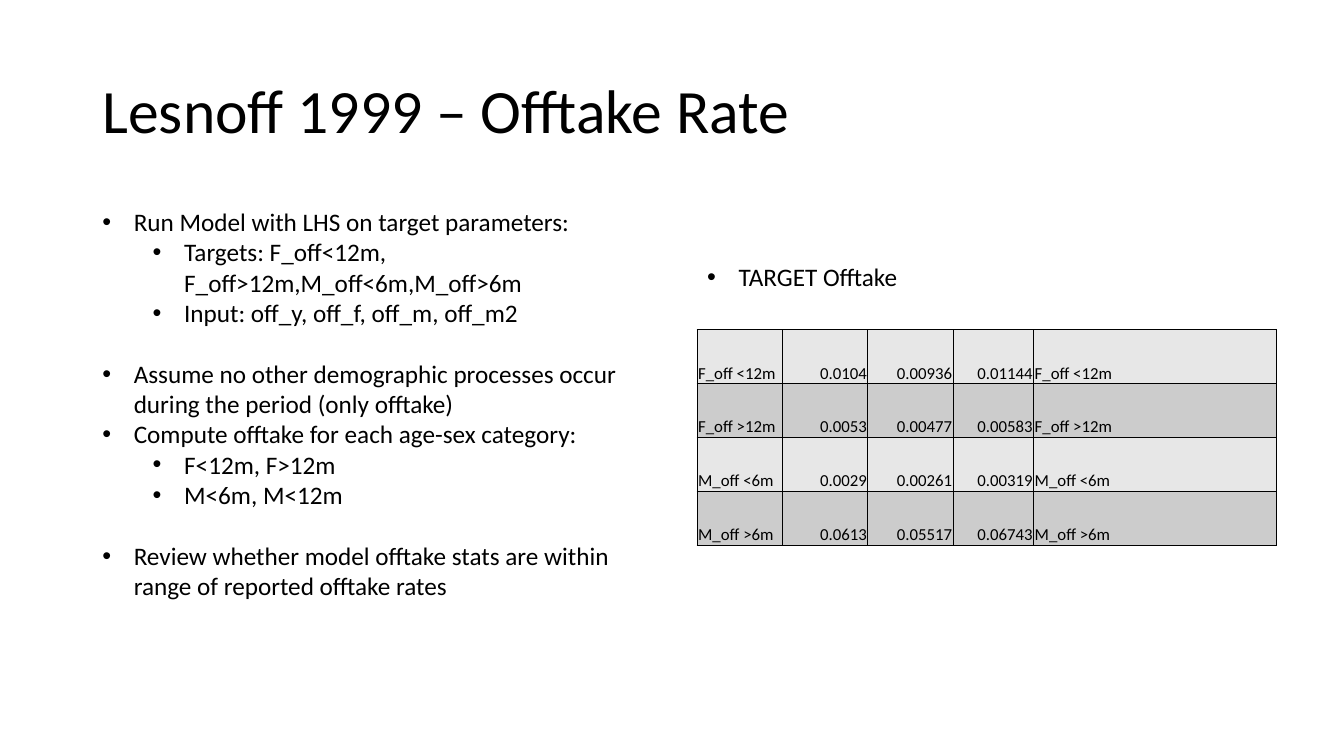
"""Build the offtake rate slide with its notes and target table."""
from dataclasses import dataclass

from lxml import etree
from pptx import Presentation
from pptx import util as u
from pptx.dml.color import RGBColor
from pptx.enum import text as t
from pptx.oxml.ns import qn

PX = 6350
FONT = "Calibri"
COLOURS = {"ink": "000000", "light": "E7E7E7", "dark": "CCCCCC"}
INDENTS = (45, 117)
HANGING = 45
GAP = 22
COLUMNS = (122, 122, 122, 115, 347)
ROW_HEIGHT = 77
BORDERS = ("a:lnL", "a:lnR", "a:lnT", "a:lnB")


@dataclass(frozen=True)
class Area:
    left: int
    top: int
    width: int
    height: int

    def emu(self) -> list[int]:
        return [side * PX for side in (self.left, self.top, self.width, self.height)]


@dataclass(frozen=True)
class Bullet:
    words: str
    level: int = 0
    gap: int = 0


@dataclass(frozen=True)
class Target:
    name: str
    mean: str
    low: str
    high: str

    def cells(self) -> tuple[str, ...]:
        return self.name, self.mean, self.low, self.high, self.name


TITLE = Area(132, 58, 1656, 209)
NOTES = Area(132, 288, 791, 582)
CAPTION = Area(996, 366, 791, 58)
TABLE = Area(996, 471, sum(COLUMNS), 4 * ROW_HEIGHT)

NOTE_BULLETS = [
    Bullet("Run Model with LHS on target parameters:"),
    Bullet("Targets: F_off<12m, F_off>12m,M_off<6m,M_off>6m", 1),
    Bullet("Input: off_y, off_f, off_m, off_m2", 1),
    Bullet("Assume no other demographic processes occur during the period (only offtake)", gap=GAP),
    Bullet("Compute offtake for each age-sex category:"),
    Bullet("F<12m, F>12m", 1),
    Bullet("M<6m, M<12m", 1),
    Bullet("Review whether model offtake stats are within range of reported offtake rates", gap=GAP),
]
TARGETS = [
    Target("F_off <12m", "0.0104", "0.00936", "0.01144"),
    Target("F_off >12m", "0.0053", "0.00477", "0.00583"),
    Target("M_off <6m", "0.0029", "0.00261", "0.00319"),
    Target("M_off >6m", "0.0613", "0.05517", "0.06743"),
]


def add_span(para, words: str, size: int) -> None:
    span = para.add_run()
    span.text = words
    span.font.name = FONT
    span.font.size = u.Pt(size)
    span.font.color.rgb = RGBColor.from_string(COLOURS["ink"])


def set_title(slide, words: str) -> None:
    title = slide.shapes.title
    title.left, title.top, title.width, title.height = TITLE.emu()
    frame = title.text_frame
    frame.auto_size = t.MSO_AUTO_SIZE.NONE
    frame.vertical_anchor = t.MSO_ANCHOR.MIDDLE
    para = frame.paragraphs[0]
    para.alignment = t.PP_ALIGN.LEFT
    para.line_spacing = 0.9
    add_span(para, words, 44)


def add_bullets(slide, area: Area, bullets: list[Bullet]) -> None:
    frame = slide.shapes.add_textbox(*area.emu()).text_frame
    frame.word_wrap = True
    frame.auto_size = t.MSO_AUTO_SIZE.SHAPE_TO_FIT_TEXT
    for index, bullet in enumerate(bullets):
        para = frame.add_paragraph() if index else frame.paragraphs[0]
        para.level = bullet.level
        para.space_before = u.Pt(bullet.gap)
        props = para._p.get_or_add_pPr()
        props.set("marL", str(INDENTS[bullet.level] * PX))
        props.set("indent", str(-HANGING * PX))
        etree.SubElement(props, qn("a:buFont"), typeface="Arial")
        etree.SubElement(props, qn("a:buChar"), char="•")
        add_span(para, bullet.words, 18)


def add_borders(cell) -> None:
    props = cell._tc.get_or_add_tcPr()
    for index, tag in enumerate(BORDERS):
        line = etree.Element(qn(tag), w=str(u.Pt(1)))
        fill = etree.SubElement(line, qn("a:solidFill"))
        etree.SubElement(fill, qn("a:srgbClr"), val=COLOURS["ink"])
        props.insert(index, line)


def fill_cell(cell, words: str, colour: str, numeric: bool) -> None:
    cell.fill.solid()
    cell.fill.fore_color.rgb = RGBColor.from_string(colour)
    cell.vertical_anchor = t.MSO_ANCHOR.BOTTOM
    cell.margin_left = cell.margin_right = cell.margin_top = u.Inches(0.01)
    cell.margin_bottom = 0
    para = cell.text_frame.paragraphs[0]
    para.alignment = t.PP_ALIGN.RIGHT if numeric else t.PP_ALIGN.LEFT
    add_span(para, words, 12)
    add_borders(cell)


def add_targets(slide, targets: list[Target]) -> None:
    table = slide.shapes.add_table(len(targets), len(COLUMNS), *TABLE.emu()).table
    table.first_row = False
    for column, width in zip(table.columns, COLUMNS):
        column.width = width * PX
    for index, target in enumerate(targets):
        table.rows[index].height = ROW_HEIGHT * PX
        colour = COLOURS["dark" if index % 2 else "light"]
        for place, words in enumerate(target.cells()):
            numeric = 0 < place < len(COLUMNS) - 1
            fill_cell(table.cell(index, place), words, colour, numeric)


def main() -> None:
    deck = Presentation()
    deck.slide_width, deck.slide_height = 1920 * PX, 1080 * PX
    slide = deck.slides.add_slide(deck.slide_layouts[5])
    set_title(slide, "Lesnoff 1999 – Offtake Rate")
    add_targets(slide, TARGETS)
    add_bullets(slide, NOTES, NOTE_BULLETS)
    add_bullets(slide, CAPTION, [Bullet("TARGET Offtake")])
    deck.save("out.pptx")


if __name__ == "__main__":
    main()
